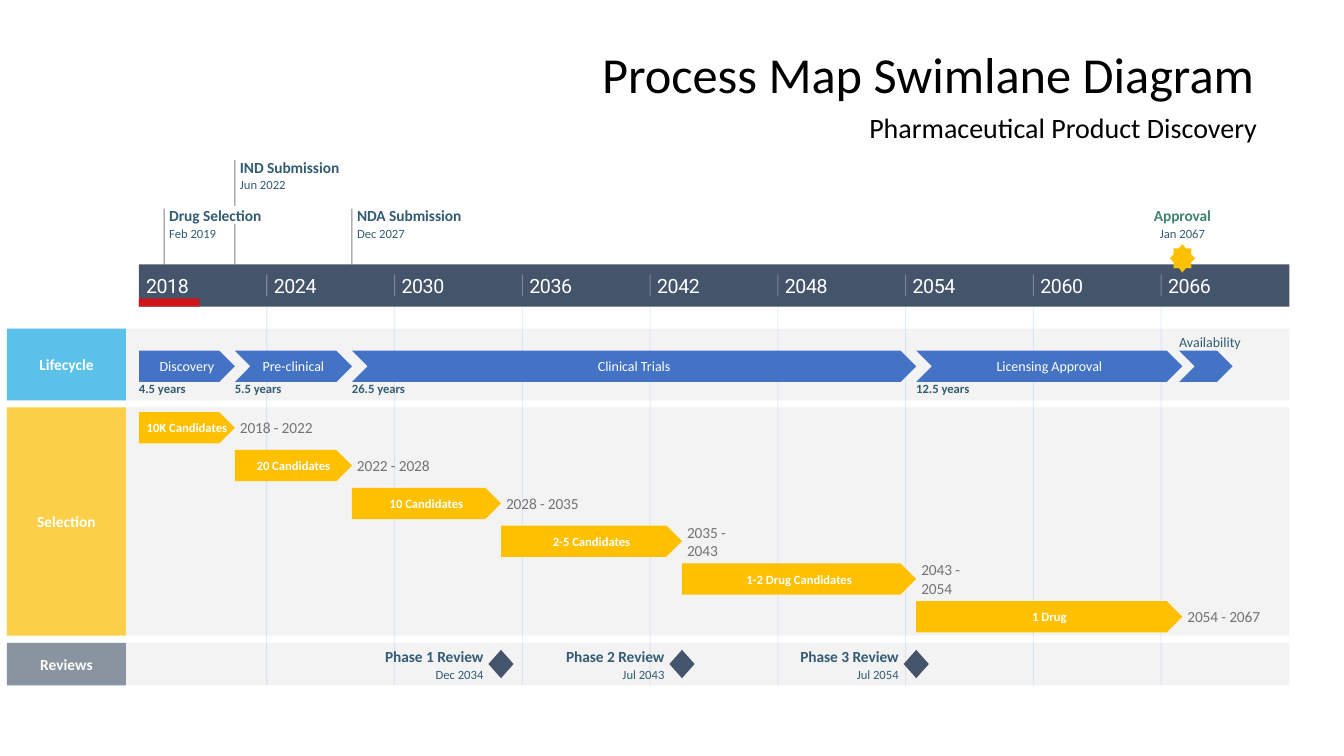
import pptx
import pptx.util
import pptx.dml.color
import pptx.enum.shapes
import pptx.enum.text
import pptx.oxml.ns
import lxml.etree
from dataclasses import dataclass

Pt = pptx.util.Pt
MSO = pptx.enum.shapes.MSO_SHAPE
ALIGN = pptx.enum.text.PP_ALIGN
qn = pptx.oxml.ns.qn


@dataclass(frozen=True)
class Style:
    size: float
    color: str
    bold: bool = False
    spacing: int = 0
    font: str = "Calibri"


class Theme:
    lane, navy, blue, gold = "F3F3F3", "44546A", "4472C4", "FFC000"
    sky, red, grid, black, white = "1CADE4", "FF0000", "5B9BD5", "000000", "FFFFFF"
    title = Style(36, black)
    subtitle = Style(20, black)
    lane_name = Style(11, white, True)
    year = Style(14, white, spacing=-30, font="Roboto")
    phase = Style(10, white)
    phase_out = Style(10, "335B74")
    duration = Style(9, "335B74", True)
    candidate = Style(9, white, True)
    span = Style(11, "737373", spacing=-10)
    event = Style(11, "335B74", True, -5)
    approval = Style(11, "43856C", True, -10)
    date = Style(9, "335B74")


START, STEP = 2018, 6
YEAR_W = 15.21
AXIS_DX = 94.3
HEAD_W = 85
BAR_H = 22.3


def year_x(left, year):
    return left + AXIS_DX + (year - START) * YEAR_W


def set_alpha(shape, percent):
    for clr in shape._element.spPr.iter(qn("a:srgbClr")):
        lxml.etree.SubElement(clr, qn("a:alpha")).set("val", str(percent * 1000))


def add_shape(s, kind, box, color, alpha=100):
    sp = s.shapes.add_shape(kind, *map(Pt, box))
    sp.shadow.inherit = False
    sp.fill.solid()
    sp.fill.fore_color.rgb = pptx.dml.color.RGBColor.from_string(color)
    sp.line.fill.background()
    if alpha < 100:
        set_alpha(sp, alpha)


def add_line(s, x, top, bottom, color, alpha):
    ln = s.shapes.add_connector(
        pptx.enum.shapes.MSO_CONNECTOR.STRAIGHT, Pt(x), Pt(top), Pt(x), Pt(bottom))
    ln.line.width = Pt(0.75)
    ln.line.color.rgb = pptx.dml.color.RGBColor.from_string(color)
    set_alpha(ln, alpha)
    lxml.etree.SubElement(ln._element.spPr, qn("a:effectLst"))


def add_text(s, box, text, style, align=ALIGN.LEFT):
    tf = s.shapes.add_textbox(*map(Pt, box)).text_frame
    tf.word_wrap = True
    tf.margin_left = tf.margin_right = tf.margin_top = tf.margin_bottom = 0
    tf.vertical_anchor = pptx.enum.text.MSO_ANCHOR.MIDDLE
    p = tf.paragraphs[0]
    p.alignment = align
    r = p.add_run()
    r.text = text
    r.font.name = style.font
    r.font.size = Pt(style.size)
    r.font.bold = style.bold
    r.font.color.rgb = pptx.dml.color.RGBColor.from_string(style.color)
    if style.spacing:
        r._r.get_or_add_rPr().set("spc", str(style.spacing))


def add_event(s, left, top, width, name, date, style, align):
    add_text(s, (left, top, width, 13.7), name, style, align)
    add_text(s, (left, top + 14.2, width, 10.8), date, Theme.date, align)


def draw_heading(s, box):
    l, t, w, h = box
    add_text(s, (l, t, w - 2, 51), "Process Map Swimlane Diagram", Theme.title, ALIGN.RIGHT)
    add_text(s, (l, t + 48.5, w, 32), "Pharmaceutical Product Discovery",
             Theme.subtitle, ALIGN.RIGHT)


def draw_lane(s, box, name, color, alpha):
    l, t, w, h = box
    add_shape(s, MSO.RECTANGLE, box, Theme.lane)
    add_shape(s, MSO.RECTANGLE, (l, t, HEAD_W, h), color, alpha)
    add_text(s, (l, t, HEAD_W, h), name, Theme.lane_name, ALIGN.CENTER)


def draw_timeline(s, box, grid_bottom):
    l, t, w, h = box
    add_shape(s, MSO.RECTANGLE, (l + AXIS_DX, t, w - AXIS_DX, h), Theme.navy)
    for year in range(START, 2067, STEP):
        x = year_x(l, year)
        if year > START:
            add_line(s, x, t + h, grid_bottom, Theme.grid, 15)
            add_line(s, x, t + 7.2, t + 23, Theme.white, 30)
        add_text(s, (x + 5, t + 7.2, 40, 15.8), str(year), Theme.year)
    add_shape(s, MSO.RECTANGLE, (l + AXIS_DX, t + h - 5.8, 43.2, 5.8), Theme.red, 75)


def draw_milestones(s, box):
    l, t, w, h = box
    tier = 34.6
    for year, name, date, top, stems in (
            (2019.18, "Drug Selection", "Feb 2019", tier, [(tier + 2, h)]),
            (2022.5, "IND Submission", "Jun 2022", 0, [(2, tier), (47.5, h)]),
            (2028, "NDA Submission", "Dec 2027", tier, [(tier + 2, h)])):
        x = year_x(l, year)
        for start, end in stems:
            add_line(s, x, t + start, t + end, Theme.black, 50)
        add_event(s, x + 3.6, t + top, 90, name, date, Theme.event, ALIGN.LEFT)
    x = year_x(l, 2067)
    add_shape(s, MSO.STAR_8_POINT, (x - 9, t + 62, 18, 20.2), Theme.gold)
    add_event(s, x - 30, t + tier, 60, "Approval", "Jan 2067", Theme.approval, ALIGN.CENTER)


def draw_lifecycle(s, box):
    l, t, w, h = box
    for i, (start, end, name, duration) in enumerate((
            (2018, 2022.5, "Discovery", "4.5 years"),
            (2022.5, 2028, "Pre-clinical", "5.5 years"),
            (2028, 2054.5, "Clinical Trials", "26.5 years"),
            (2054.5, 2067, "Licensing Approval", "12.5 years"))):
        x, end_x = year_x(l, start), year_x(l, end)
        bar = (x, t + 15.7, end_x - x, BAR_H)
        add_shape(s, MSO.CHEVRON if i else MSO.PENTAGON, bar, Theme.blue)
        add_text(s, bar, name, Theme.phase, ALIGN.CENTER)
        add_text(s, (x, t + 37.4, 50, 10.8), duration, Theme.duration)
    x = year_x(l, 2066.85)
    add_shape(s, MSO.CHEVRON, (x, t + 15.7, 38.2, BAR_H), Theme.blue)
    add_text(s, (x, t + 3.6, 50, 12.2), "Availability", Theme.phase_out)


def draw_selection(s, box):
    l, t, w, h = box
    for i, (start, end, name, span, span_w) in enumerate((
            (2018, 2022.5, "10K Candidates", "2018 - 2022", 56),
            (2022.5, 2028, "20 Candidates", "2022 - 2028", 56),
            (2028, 2035, "10 Candidates", "2028 - 2035", 56),
            (2035, 2043.5, "2-5 Candidates", "2035 - 2043", 48),
            (2043.5, 2054.5, "1-2 Drug Candidates", "2043 - 2054", 48),
            (2054.5, 2067, "1 Drug", "2054 - 2067", 56))):
        x, end_x = year_x(l, start), year_x(l, end)
        bar = (x, t + 3.4 + 27 * i, end_x - x, BAR_H)
        add_shape(s, MSO.PENTAGON, bar, Theme.gold)
        add_text(s, bar, name, Theme.candidate, ALIGN.CENTER)
        add_text(s, (end_x + 3.6, bar[1], span_w, BAR_H), span, Theme.span)


def draw_reviews(s, box):
    l, t, w, h = box
    for i, (year, date) in enumerate((
            (2035, "Dec 2034"), (2043.5, "Jul 2043"), (2054.5, "Jul 2054")), 1):
        x = year_x(l, year)
        add_shape(s, MSO.DIAMOND, (x - 9, t + 5, 18, 20.2), Theme.navy)
        add_event(s, x - 102.6, t + 2.9, 90, f"Phase {i} Review", date,
                  Theme.event, ALIGN.RIGHT)


prs = pptx.Presentation()
prs.slide_width, prs.slide_height = Pt(960), Pt(540)
s = prs.slides.add_slide(prs.slide_layouts[6])

left, width = 5, 916
lifecycle = (left, 234.8, width, 51.2)
selection = (left, 291, width, 163)
reviews = (left, 459.2, width, 30.3)

draw_lane(s, lifecycle, "Lifecycle", Theme.sky, 70)
draw_lane(s, selection, "Selection", Theme.gold, 70)
draw_lane(s, reviews, "Reviews", Theme.navy, 60)
draw_timeline(s, (left, 188.8, width, 30.2), reviews[1] + reviews[3])
draw_milestones(s, (left, 112.4, width, 76.4))
draw_lifecycle(s, lifecycle)
draw_selection(s, selection)
draw_reviews(s, reviews)
draw_heading(s, (320, 26.6, 578, 81))
prs.save("out.pptx")
